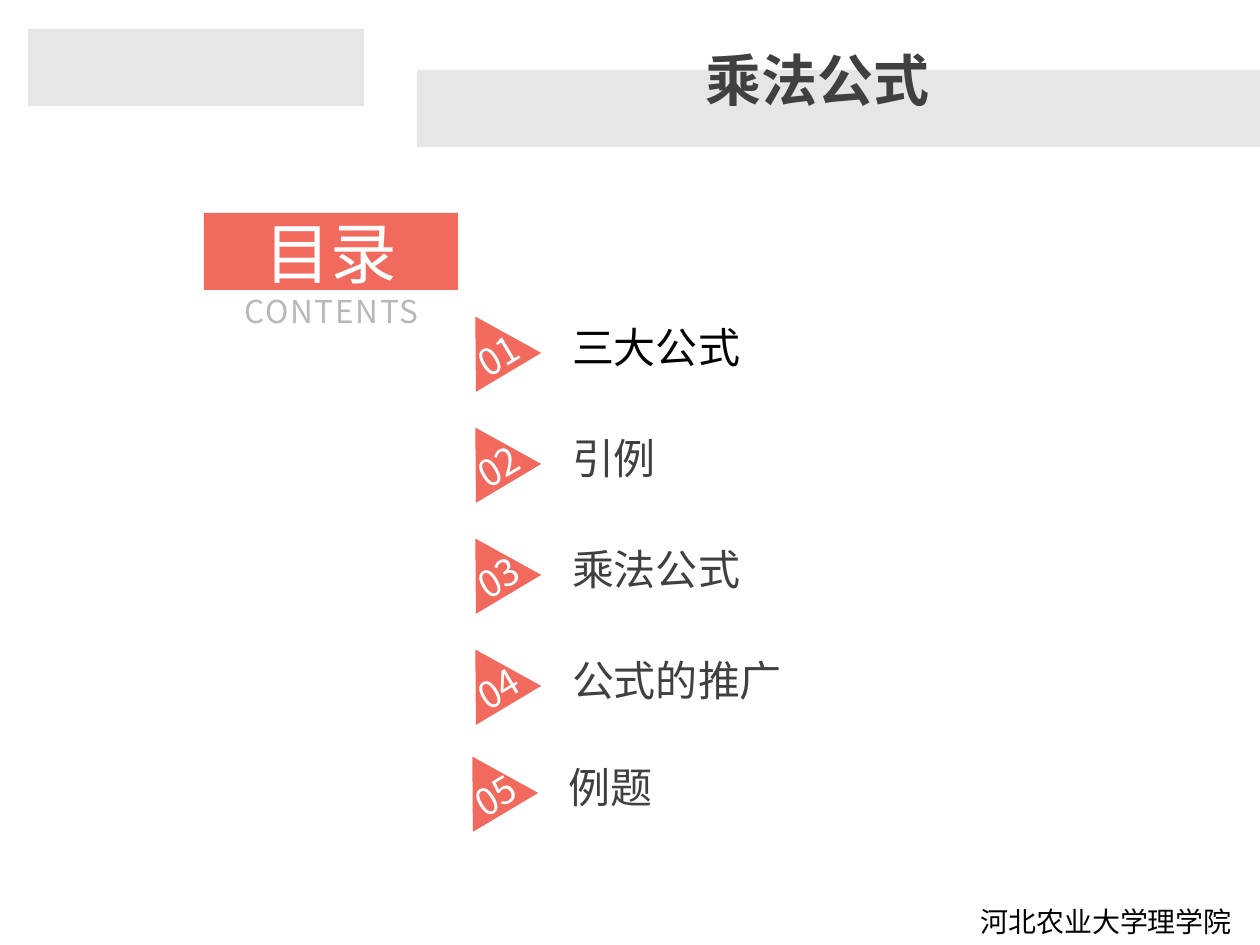
"""Build the contents slide of a lesson on the multiplication rule."""
from lxml.etree import SubElement
from pptx import Presentation
from pptx.dml.color import RGBColor
from pptx.enum.shapes import MSO_SHAPE
from pptx.enum.text import MSO_ANCHOR, MSO_AUTO_SIZE, PP_ALIGN
from pptx.oxml.ns import qn
from pptx.util import Inches, Pt

GREY = RGBColor(0xE6, 0xE6, 0xE6)
CORAL = RGBColor(0xF2, 0x69, 0x5E)
WHITE = RGBColor(0xFF, 0xFF, 0xFF)
BLACK = RGBColor(0, 0, 0)
DARK = RGBColor(0x40, 0x40, 0x40)
PALE = RGBColor(0xB8, 0xB8, 0xB8)
FACE = "Noto Sans CJK SC"
SCALE = Inches(1) / 126
LEFT, MID, RIGHT = PP_ALIGN.LEFT, PP_ALIGN.CENTER, PP_ALIGN.RIGHT
TOP, CENTER = MSO_ANCHOR.TOP, MSO_ANCHOR.MIDDLE


def px(num):
    return round(num * SCALE)


def apply(item, values):
    for name, value in values.items():
        setattr(item, name, value)


class Page:
    def __init__(self, deck):
        self.slide = deck.slides.add_slide(deck.slide_layouts[5])
        self.shapes = self.slide.shapes

    def letter(self, shape, text, size, color, align=LEFT, anchor=CENTER,
               pads=(0, 0, 0, 0), bold=False, space=0):
        frame = shape.text_frame
        sides = ("margin_left", "margin_top", "margin_right", "margin_bottom")
        apply(frame, {"text": text, "word_wrap": True, "vertical_anchor": anchor,
                      "auto_size": MSO_AUTO_SIZE.NONE,
                      **dict(zip(sides, map(px, pads)))})
        para = frame.paragraphs[0]
        para.alignment = align
        run = para.runs[0]
        apply(run.font, {"name": FACE, "size": Pt(size), "bold": bold})
        run.font.color.rgb = color
        props = run._r.get_or_add_rPr()
        SubElement(props, qn("a:ea"), typeface=FACE)
        if space:
            props.set("spc", str(space * 100))

    def paint(self, shape, color):
        shape.shadow.inherit = False
        shape.fill.solid()
        shape.fill.fore_color.rgb = color
        shape.line.fill.background()
        return shape

    def bar(self, box, color):
        shape = self.shapes.add_shape(MSO_SHAPE.RECTANGLE, *map(px, box))
        return self.paint(shape, color)

    def label(self, box, *args, **style):
        self.letter(self.shapes.add_textbox(*map(px, box)), *args, **style)

    def title(self, box, *args, **style):
        shape = self.shapes.title
        apply(shape, dict(zip(("left", "top", "width", "height"), map(px, box))))
        self.letter(shape, *args, **style)
        shape.element.getparent().append(shape.element)

    def badge(self, left, top, text):
        pen = self.shapes.build_freeform(38, 0, scale=SCALE)
        pen.add_line_segments([(76, 65), (0, 65)], close=True)
        shape = self.paint(pen.convert_to_shape(px(left), px(top)), CORAL)
        shape.rotation = 329.2
        self.letter(shape, text, 21, WHITE, MID, pads=(0, 25, 0, 0))


def main():
    deck = Presentation()
    apply(deck, {"slide_width": px(1260), "slide_height": px(945)})
    page = Page(deck)
    page.label((551, 898, 694, 47), "河北农业大学理学院", 16, BLACK, RIGHT, TOP,
               pads=(13, 6, 13, 6))
    page.bar((417, 70, 843, 77), GREY)
    page.bar((28, 29, 336, 77), GREY)
    head = page.bar((204, 213, 254, 77), CORAL)
    page.letter(head, "目录", 38, WHITE, MID)
    page.label((205, 292, 253, 67), "CONTENTS", 18, PALE, MID, TOP, space=1)
    topics = ("三大公式", "引例", "乘法公式", "公式的推广", "例题")
    spots = [(454, 312 + 111 * row) for row in range(4)] + [(451, 752)]
    for num, (topic, (left, top)) in enumerate(zip(topics, spots), 1):
        page.label((left + 118, top + 4, 510, 62), topic, 24,
                   BLACK if num == 1 else DARK)
        page.badge(left, top, f"{num:02}")
    page.title((529, 0, 413, 158), "乘法公式", 32, DARK, RIGHT,
               pads=(12, 6, 12, 6), bold=True)
    deck.save("out.pptx")


if __name__ == "__main__":
    main()
